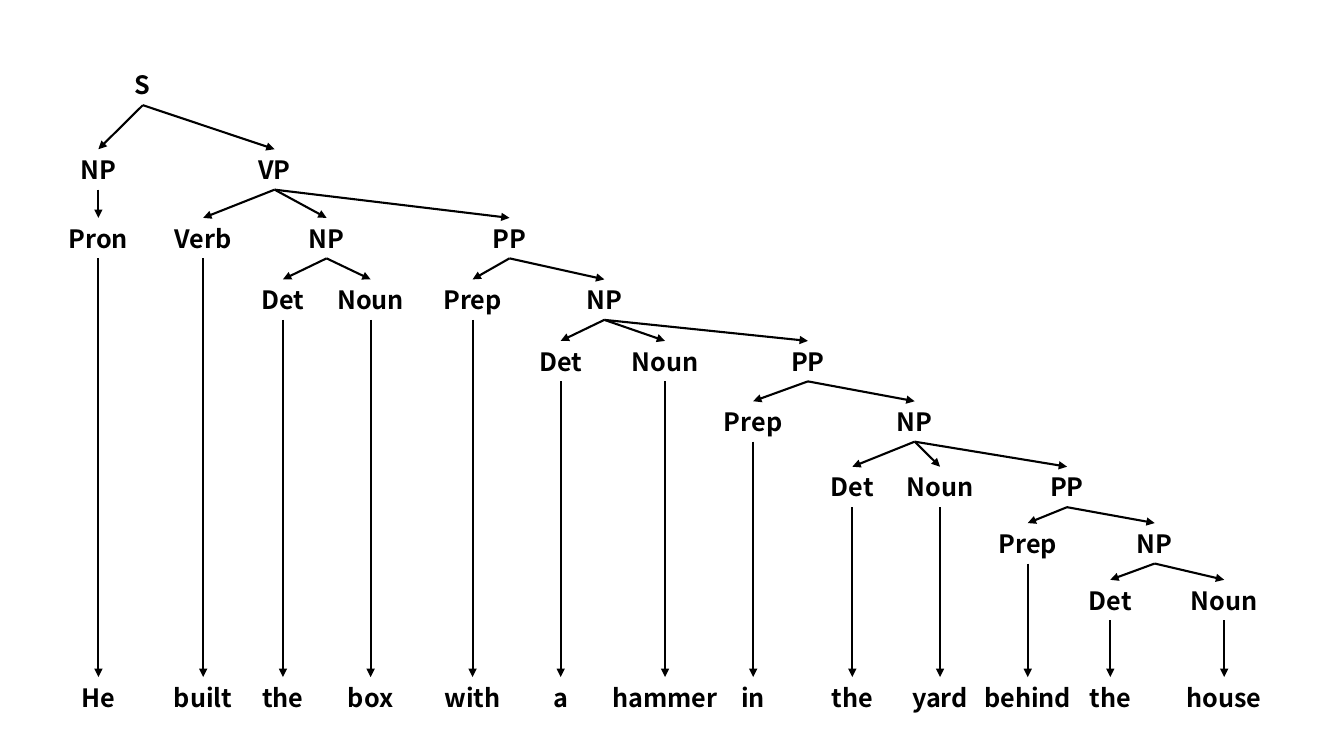
"""Draw the parse tree of an English sentence with its words along the bottom."""
from dataclasses import dataclass

from lxml import etree
from pptx import Presentation
from pptx import util as u
from pptx.dml.color import RGBColor
from pptx.enum import shapes, text
from pptx.oxml import ns
from pptx.slide import Slide

FONT = "Noto Sans CJK JP"
INK = "000000"
LEVEL_TOPS = (1.63, 3.76, 5.49, 7.04, 8.59, 10.11, 11.76, 13.18, 14.61)
WORD_TOP = 17.06
LABEL_HEIGHT = 1.02
LABEL_WIDTH = 2.21
WIDE_WORD_WIDTH = 3.33
WIDE_WORDS_FROM = 15


@dataclass(frozen=True)
class Node:
    """A grammar label centred at x, with child nodes or one word."""
    label: str
    x: float
    children: tuple["Node", ...] = ()
    word: str = ""


TREE = Node("S", 3.6, (
    Node("NP", 2.48, (Node("Pron", 2.48, word="He"),)),
    Node("VP", 6.92, (
        Node("Verb", 5.12, word="built"),
        Node("NP", 8.23, (
            Node("Det", 7.13, word="the"),
            Node("Noun", 9.34, word="box"),
        )),
        Node("PP", 12.84, (
            Node("Prep", 11.91, word="with"),
            Node("NP", 15.23, (
                Node("Det", 14.13, word="a"),
                Node("Noun", 16.76, word="hammer"),
                Node("PP", 20.36, (
                    Node("Prep", 18.98, word="in"),
                    Node("NP", 23.05, (
                        Node("Det", 21.48, word="the"),
                        Node("Noun", 23.69, word="yard"),
                        Node("PP", 26.89, (
                            Node("Prep", 25.9, word="behind"),
                            Node("NP", 29.1, (
                                Node("Det", 27.98, word="the"),
                                Node("Noun", 30.85, word="house"),
                            )),
                        )),
                    )),
                )),
            )),
        )),
    )),
))


def color(value: str) -> RGBColor:
    """Turn a hex string into a colour."""
    return RGBColor.from_string(value)


def add_label(s: Slide, label: str, x: float, top: float, width: float = LABEL_WIDTH) -> None:
    """Add bold text centred at x."""
    sp = s.shapes.add_textbox(u.Cm(x - width / 2), u.Cm(top), u.Cm(width), u.Cm(LABEL_HEIGHT))
    tf = sp.text_frame
    tf.word_wrap = True
    tf.vertical_anchor = text.MSO_ANCHOR.MIDDLE
    p = tf.paragraphs[0]
    p.text = label
    p.alignment = text.PP_ALIGN.CENTER
    p.font.name = FONT
    p.font.size = u.Pt(18)
    p.font.bold = True
    p.font.color.rgb = color(INK)


def add_arrow(s: Slide, x1: float, y1: float, x2: float, y2: float) -> None:
    """Add a straight arrow that points at its second end."""
    sp = s.shapes.add_connector(
        shapes.MSO_CONNECTOR.STRAIGHT, u.Cm(x1), u.Cm(y1), u.Cm(x2), u.Cm(y2))
    sp.line.width = u.Pt(1.5)
    sp.line.color.rgb = color(INK)
    etree.SubElement(sp.line._get_or_add_ln(), ns.qn("a:tailEnd"), type="triangle")
    etree.SubElement(sp._element.spPr, ns.qn("a:effectLst"))


def draw_node(s: Slide, node: Node, level: int = 0) -> None:
    """Draw a node, the arrows below it, and everything they lead to."""
    top = LEVEL_TOPS[level]
    bottom = top + LABEL_HEIGHT
    add_label(s, node.label, node.x, top)
    for child in node.children:
        add_arrow(s, node.x, bottom, child.x, LEVEL_TOPS[level + 1])
        draw_node(s, child, level + 1)
    if node.word:
        width = WIDE_WORD_WIDTH if node.x > WIDE_WORDS_FROM else LABEL_WIDTH
        add_arrow(s, node.x, bottom, node.x, WORD_TOP)
        add_label(s, node.word, node.x, WORD_TOP, width)


def main() -> None:
    """Build and save the slide."""
    prs = Presentation()
    prs.slide_width, prs.slide_height = u.Cm(33.87), u.Cm(19.05)
    s = prs.slides.add_slide(prs.slide_layouts[6])
    draw_node(s, TREE)
    prs.save("out.pptx")


if __name__ == "__main__":
    main()
